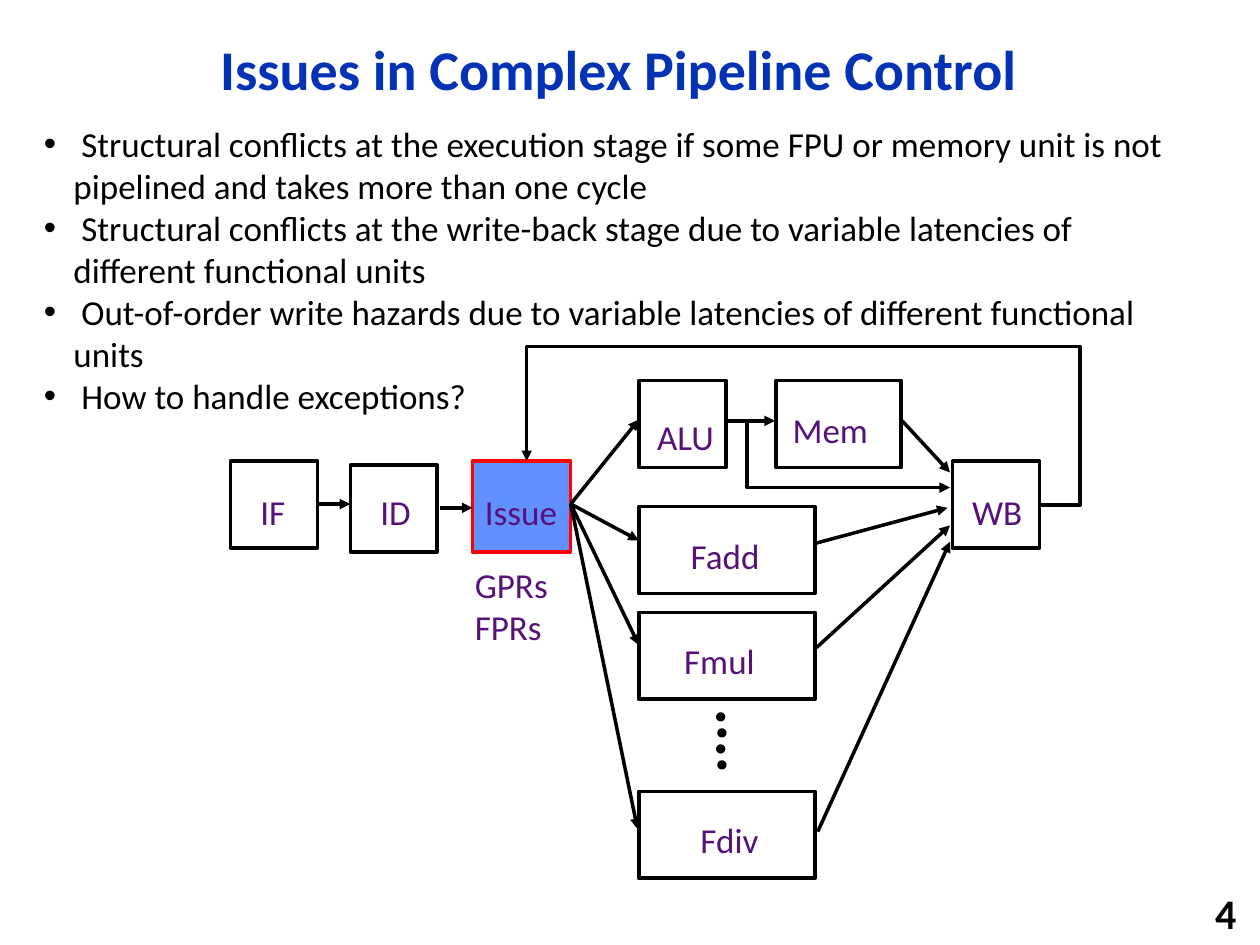
from lxml import etree
from pptx import Presentation
from pptx import util as u
from pptx.dml.color import RGBColor
from pptx.enum import shapes, text
from pptx.oxml.ns import qn

COLUMNS, ROWS = 100, 75
BLACK, PURPLE, BLUE = "000000", "56127A", "0332B7"
LEFT, CENTER, RIGHT = text.PP_ALIGN.LEFT, text.PP_ALIGN.CENTER, text.PP_ALIGN.RIGHT

deck = Presentation()
deck.slide_width, deck.slide_height = u.Inches(10), u.Inches(7.5)
slide = deck.slides.add_slide(deck.slide_layouts[6])
paint = RGBColor.from_string


def grid(*numbers):
    return [round(n * (deck.slide_height / ROWS if i % 2 else deck.slide_width / COLUMNS))
            for i, n in enumerate(numbers)]


def write(area, lines, size=20, color=PURPLE, align=CENTER, bold=False,
          anchor=text.MSO_ANCHOR.TOP, bullet=None):
    frame = slide.shapes.add_textbox(*grid(*area)).text_frame
    frame.word_wrap = True
    frame.vertical_anchor = anchor
    frame.text = "\n".join(lines)
    for paragraph in frame.paragraphs:
        paragraph.alignment = align
        if bullet:
            props = paragraph._p.get_or_add_pPr()
            indent = grid(2.35)[0]
            props.set("marL", str(indent))
            props.set("indent", str(-indent))
            etree.SubElement(props, qn("a:buFont")).set("typeface", "Arial")
            etree.SubElement(props, qn("a:buChar")).set("char", bullet)
        font = paragraph.font
        font.name, font.size, font.bold = "Calibri", u.Pt(size), bold
        font.color.rgb = paint(color)
    return frame


middle = text.MSO_ANCHOR.MIDDLE
title = write((9.2, 1.7, 79.8, 8.1), ["Issues in Complex Pipeline Control"],
              size=32, color=BLUE, bold=True, anchor=middle)
title.paragraphs[0].line_spacing = 0.9
write((78.3, 70.8, 20.8, 3.2), ["4"], size=24, color=BLACK, align=RIGHT,
      bold=True, anchor=middle)

stages = [
    ("IF", (18.3, 36.6, 6.9, 6.9), (18.3, 38.4, 6.7)),
    ("ID", (27.8, 36.9, 6.9, 6.9), (28.6, 38.4, 5.6)),
    ("Issue", (37.5, 36.6, 7.8, 7.2), (36.7, 38.4, 9.3)),
    ("WB", (75.6, 36.6, 6.9, 6.9), (75.8, 38.4, 6.7)),
    ("ALU", (50.7, 30.2, 6.9, 6.9), (50.8, 32.5, 7.2)),
    ("Mem", (61.6, 30.2, 9.9, 6.9), (61.7, 31.9, 8.4)),
    ("Fadd", (50.7, 40.2, 14, 6.9), (51.7, 41.9, 11.7)),
    ("Fmul", (50.7, 48.6, 14, 6.9), (51.7, 50.3, 10.8)),
    ("Fdiv", (50.7, 62.8, 14, 6.9), (52.5, 64.5, 10.8)),
]
for stage, area, label in stages:
    box = slide.shapes.add_shape(shapes.MSO_SHAPE.RECTANGLE, *grid(*area))
    box.shadow.inherit = False
    box.line.width = u.Pt(2)
    if stage == "Issue":
        box.fill.solid()
        box.fill.fore_color.rgb = paint("618FFD")
        box.line.color.rgb = paint("FF0000")
    else:
        box.fill.background()
        box.line.color.rgb = paint(BLACK)

for i in range(4):
    dot = slide.shapes.add_shape(shapes.MSO_SHAPE.OVAL,
                                 *grid(56.9 + 0.1 * (i % 2), 56.6 + 1.27 * i, 0.6, 0.6))
    dot.shadow.inherit = False
    dot.fill.solid()
    dot.fill.fore_color.rgb = dot.line.color.rgb = paint(BLACK)
    dot.line.width = u.Pt(1)

issue_exit = (45.3, 40)
routes = [
    [(25.3, 40), (27.8, 40)],
    [(34.9, 40.3), (37.5, 40.3)],
    [issue_exit, (50.7, 33.3)],
    [issue_exit, (50.7, 42.9)],
    [issue_exit, (50.7, 51.2)],
    [issue_exit, (50.6, 65.8)],
    [(59.4, 33.4), (61.5, 33.4)],
    [(71.6, 33.4), (75.4, 37.5)],
    [(64.8, 43.1), (75.2, 40.3)],
    [(64.8, 51.4), (75.4, 41.7)],
    [(64.9, 66), (75.4, 43)],
    [(57.7, 33.4), (59.3, 33.4), (59.3, 38.7), (75.4, 38.7)],
    [(82.6, 40.1), (85.7, 40.1), (85.7, 27.5), (41.8, 27.5), (41.8, 36.6)],
]
for route in routes:
    start, *rest = [grid(*point) for point in route]
    if len(rest) == 1:
        arrow = slide.shapes.add_connector(shapes.MSO_CONNECTOR.STRAIGHT, *start, *rest[0])
    else:
        builder = slide.shapes.build_freeform(*start)
        builder.add_line_segments(rest, close=False)
        arrow = builder.convert_to_shape()
        arrow.fill.background()
    arrow.line.color.rgb = paint(BLACK)
    arrow.line.width = u.Pt(2)
    outline = arrow.line._get_or_add_ln()
    etree.SubElement(outline, qn("a:tailEnd")).set("type", "triangle")
    etree.SubElement(outline.getparent(), qn("a:effectLst"))

for stage, area, label in stages:
    write((*label, 4.3), [stage])
write((36.7, 44.2, 9.6, 7.7), ["GPRs", "FPRs"], align=LEFT)

write((2.5, 9.2, 93.3, 24.5), [
    " Structural conflicts at the execution stage if some FPU or memory unit is not "
    "pipelined and takes more than one cycle",
    " Structural conflicts at the write-back stage due to variable latencies of "
    "different functional units",
    " Out-of-order write hazards due to variable latencies of different functional units",
    " How to handle exceptions?",
], color=BLACK, align=LEFT, bullet="•")

deck.save("out.pptx")
